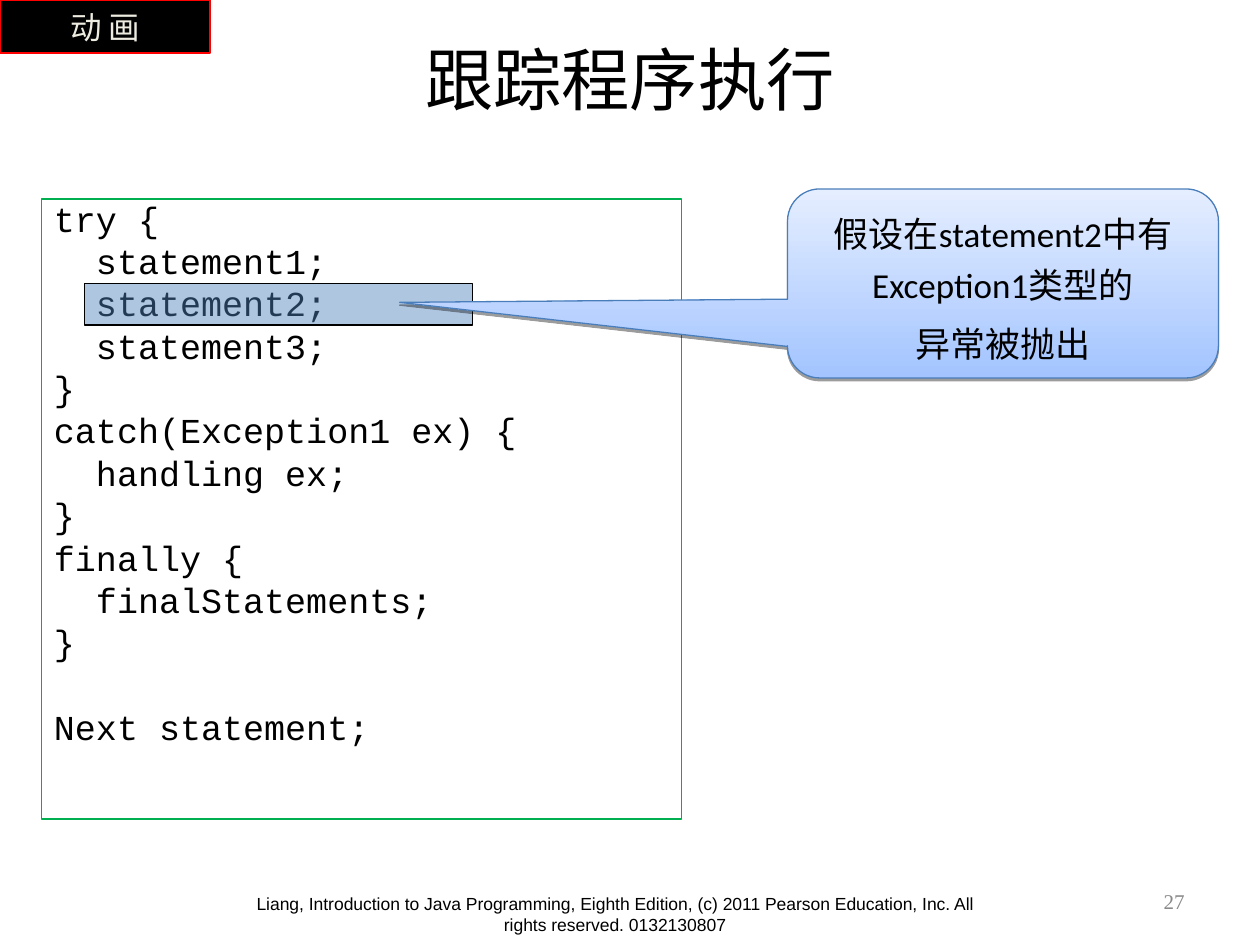
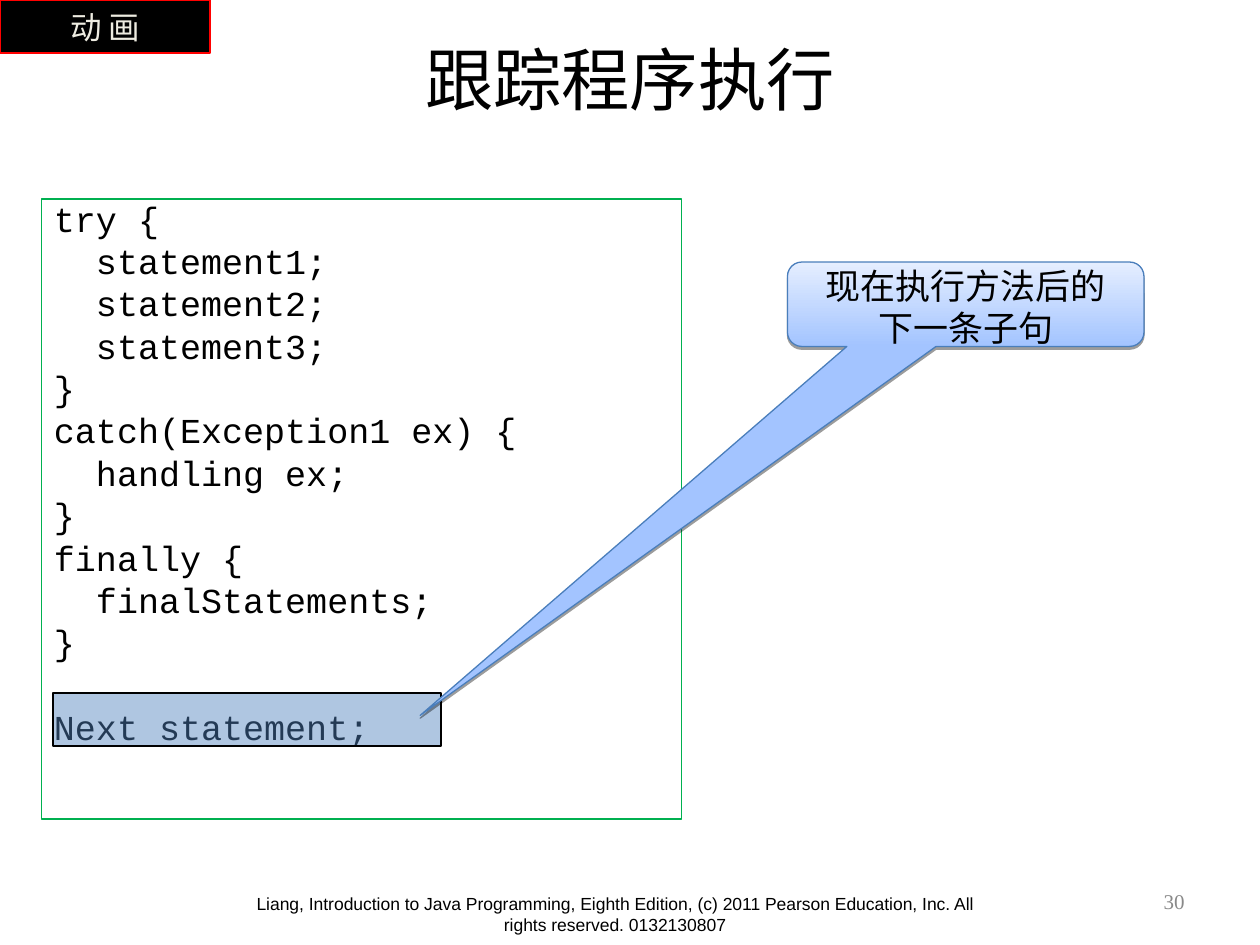
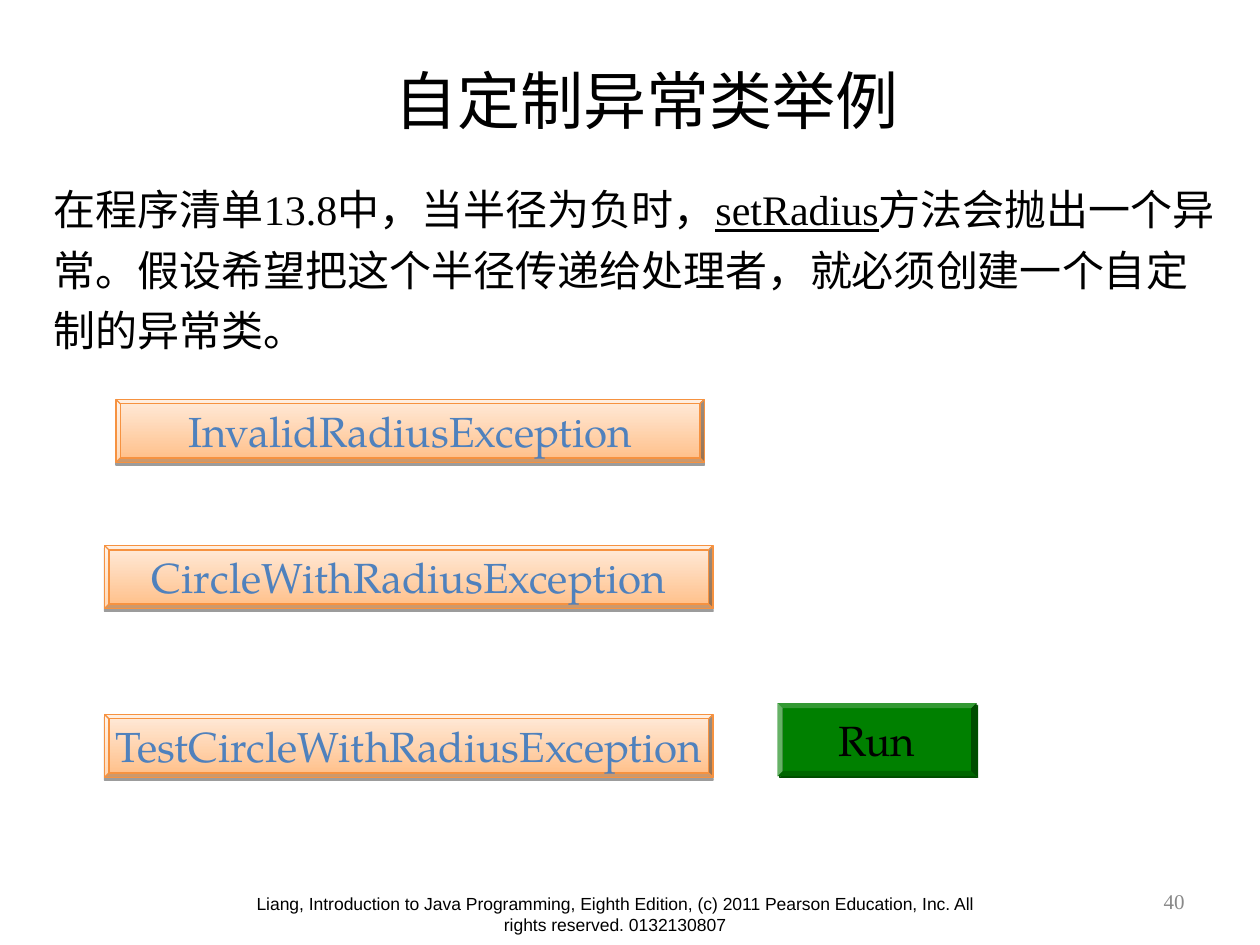
from lxml import etree
from pptx import Presentation
from pptx.dml.color import RGBColor
from pptx.enum.shapes import MSO_SHAPE
from pptx.enum.text import MSO_ANCHOR, PP_ALIGN
from pptx.oxml.ns import qn
from pptx.util import Inches, Pt

LEFT, CENTER, RIGHT = PP_ALIGN.LEFT, PP_ALIGN.CENTER, PP_ALIGN.RIGHT
TOP, MIDDLE = MSO_ANCHOR.TOP, MSO_ANCHOR.MIDDLE
RECTANGLE, BEVEL = MSO_SHAPE.RECTANGLE, MSO_SHAPE.BEVEL
CALLOUT = MSO_SHAPE.ROUNDED_RECTANGULAR_CALLOUT
TITLE_ONLY = 5

# Content
FOOTER = ("Liang, Introduction to Java Programming, Eighth Edition, (c) 2011 "
          "Pearson Education, Inc. All rights reserved. 0132130807")
TRACE_TITLE = "跟踪程序执行"
TAG = "动 画"
CODE_BLOCKS = [
    ["try {", "  statement1;", "  statement2;", "  statement3;", "}",
     "catch(Exception1 ex) {", "  handling ex;", "}",
     "finally {", "  finalStatements;", "}"],
    ["Next statement;"],
]
TRACES = [
    {"number": "27", "highlight": (0.67, 2.25, 3.08, 0.33),
     "callout": (6.25, 1.5, 3.42, 1.5), "pointer": (-1.4, 0.1),
     "spacing": 1.2,
     "lines": ["假设在statement2中有Exception1类型的", "异常被抛出"]},
    {"number": "30", "highlight": (0.42, 5.5, 3.08, 0.42),
     "callout": (6.25, 2.08, 2.83, 0.67), "pointer": (-1.53, 4.87),
     "spacing": 0.8,
     "lines": ["现在执行方法后的", "下一条子句"]},
]
EXAMPLE_TITLE = "自定制异常类举例"
EXAMPLE_NUMBER = "40"
EXAMPLE_RUNS = [
    ("在程序清单13.8中，当半径为负时，", False),
    ("setRadius", True),
    ("方法会抛出一个异常。假设希望把这个半径传递给处理者，"
     "就必须创建一个自定制的异常类。", False),
]
CLASS_BUTTONS = [
    ("InvalidRadiusException", (0.92, 3.17, 4.67, 0.5)),
    ("CircleWithRadiusException", (0.83, 4.33, 4.83, 0.5)),
    ("TestCircleWithRadiusException", (0.83, 5.67, 4.83, 0.5)),
]
RUN_BUTTON = ("Run", (6.17, 5.58, 1.58, 0.58))

# Shared formats
BLUE_GRADIENT = ("A3C4FF", "E5EEFF")
ORANGE_GRADIENT = ("FFBE86", "FFEBDB")
SOFT_SHADOW = {"color": "000000", "alpha": 38, "distance": 1.6, "angle": 90}
GREEN_SHADOW = {"color": "004D00", "alpha": 100, "distance": 1.4, "angle": 45}


def text_style(font, size, color="000000", align=CENTER, anchor=TOP,
               spacing=None, before=0, wrap=True):
    return {"font": {"name": font, "size": Pt(size)}, "color": color,
            "paragraph": {"alignment": align, "line_spacing": spacing},
            "before": before,
            "frame": {"vertical_anchor": anchor, "word_wrap": wrap}}


FOOTER_STYLE = text_style("Arial", 10)
NUMBER_STYLE = text_style("Times New Roman", 12, "898989", RIGHT, MIDDLE)
TAG_STYLE = text_style("Lato", 18, "EEECE1", anchor=MIDDLE, wrap=False)
CODE_STYLE = text_style("Courier New", 20, align=LEFT, spacing=0.8, before=5)
BODY_STYLE = text_style("Times New Roman", 24, align=LEFT, spacing=1.2)
BUTTON_FONT = "TeX Gyre Pagella"
CLASS_STYLE = text_style(BUTTON_FONT, 24, "4F81BD", anchor=MIDDLE, wrap=False)
RUN_STYLE = text_style(BUTTON_FONT, 24, anchor=MIDDLE, wrap=False)
BLOCK_GAP = 29  # points above each later block of code


def rgb(value):
    return RGBColor.from_string(value)


def set_all(target, values):
    for name, value in values.items():
        setattr(target, name, value)


def place(shape, box):
    names = ("left", "top", "width", "height")
    set_all(shape, dict(zip(names, map(Inches, box))))


def write(frame, paragraphs, style):
    """Each paragraph is a string or a list of (text, underline) runs."""
    set_all(frame, style["frame"])
    for index, content in enumerate(paragraphs):
        paragraph = frame.add_paragraph() if index else frame.paragraphs[0]
        set_all(paragraph, style["paragraph"])
        paragraph.space_before = Pt(style["before"] if index else 0)
        runs = [(content, False)] if isinstance(content, str) else content
        for text, underline in runs:
            run = paragraph.add_run()
            run.text = text
            set_all(run.font, style["font"])
            run.font.color.rgb = rgb(style["color"])
            if underline:
                run.font.underline = True


def add_text(slide, box, paragraphs, style):
    shape = slide.shapes.add_textbox(*map(Inches, box))
    write(shape.text_frame, paragraphs, style)
    return shape


def add_alpha(color_element, percent):
    etree.SubElement(color_element, qn("a:alpha"), val=str(percent * 1000))


def add_shadow(shape, color, alpha, distance, angle):
    effects = shape.element.spPr.find(qn("a:effectLst"))
    shadow = etree.SubElement(
        effects, qn("a:outerShdw"), blurRad="0", dist=str(int(Pt(distance))),
        dir=str(angle * 60000), rotWithShape="0")
    add_alpha(etree.SubElement(shadow, qn("a:srgbClr"), val=color), alpha)


def add_figure(slide, kind, box, fill=None, line=None, shadow=None,
               adjustments=()):
    """fill is a colour, a (bottom, top) gradient or None; line is (colour, points)."""
    shape = slide.shapes.add_shape(kind, *map(Inches, box))
    for index, value in enumerate(adjustments):
        shape.adjustments[index] = value
    if fill is None:
        shape.fill.background()
    elif isinstance(fill, str):
        shape.fill.solid()
        shape.fill.fore_color.rgb = rgb(fill)
    else:
        shape.fill.gradient()
        shape.fill.gradient_angle = 90
        for stop, color, position in zip(shape.fill.gradient_stops, fill, (0, 1)):
            stop.color.rgb = rgb(color)
            stop.position = position
    if line:
        shape.line.color.rgb = rgb(line[0])
        shape.line.width = Pt(line[1])
    else:
        shape.line.fill.background()
    shape.shadow.inherit = False
    if shadow:
        add_shadow(shape, **shadow)
    return shape


def add_button(slide, label, box, style, **formats):
    bevel = add_figure(slide, BEVEL, box, adjustments=[0.07], **formats)
    write(bevel.text_frame, [label], style)


def add_slide(presentation, title, title_box, title_size, number):
    slide = presentation.slides.add_slide(presentation.slide_layouts[TITLE_ONLY])
    place(slide.shapes.title, title_box)
    write(slide.shapes.title.text_frame, [title],
          text_style("Calibri", title_size, anchor=MIDDLE))
    add_text(slide, (7.17, 6.95, 2.33, 0.4), [number], NUMBER_STYLE)
    return slide


def add_trace_slide(presentation, trace):
    slide = add_slide(presentation, TRACE_TITLE, (0.75, 0.33, 8.5, 0.58), 39,
                      trace["number"])
    # Code listing
    listing = add_figure(slide, RECTANGLE, (0.33, 1.58, 5.08, 4.92),
                         line=("00B050", 0.75))
    write(listing.text_frame, sum(CODE_BLOCKS, []), CODE_STYLE)
    start = 0
    for block in CODE_BLOCKS[:-1]:
        start += len(block)
        listing.text_frame.paragraphs[start].space_before = Pt(BLOCK_GAP)
    # Corner tag
    tag = add_figure(slide, RECTANGLE, (0, 0, 1.67, 0.42), "000000", ("FF0000", 1))
    write(tag.text_frame, [TAG], TAG_STYLE)
    # Current statement and its explanation
    highlight = add_figure(slide, RECTANGLE, trace["highlight"], "4F81BD",
                           ("000000", 1))
    add_alpha(highlight.element.spPr.find(qn("a:solidFill"))[0], 45)
    callout = add_figure(slide, CALLOUT, trace["callout"], BLUE_GRADIENT,
                         ("4A7EBB", 0.75), SOFT_SHADOW,
                         (*trace["pointer"], 0.17))
    write(callout.text_frame, trace["lines"],
          text_style("Calibri", 20, spacing=trace["spacing"], before=5))


def add_example_slide(presentation):
    slide = add_slide(presentation, EXAMPLE_TITLE, (0.67, 0.5, 8.92, 0.58), 36,
                      EXAMPLE_NUMBER)
    add_text(slide, (0.33, 1.33, 9.42, 1.54), [EXAMPLE_RUNS], BODY_STYLE)
    for label, box in CLASS_BUTTONS:
        add_button(slide, label, box, CLASS_STYLE, fill=ORANGE_GRADIENT,
                   line=("F69240", 0.75), shadow=SOFT_SHADOW)
    add_button(slide, *RUN_BUTTON, RUN_STYLE, fill="008000", shadow=GREEN_SHADOW)


def main():
    presentation = Presentation()
    presentation.slide_width = Inches(10)
    presentation.slide_height = Inches(7.5)
    for trace in TRACES:
        add_trace_slide(presentation, trace)
    add_example_slide(presentation)
    # The footer moves to the layout, so every slide shows it
    footer = add_text(presentation.slides[0], (1.83, 7.04, 6.1, 0.46), [FOOTER],
                      FOOTER_STYLE)
    layout = presentation.slide_layouts[TITLE_ONLY]
    layout.shapes.element.append(footer.element)
    presentation.save("out.pptx")


if __name__ == "__main__":
    main()
